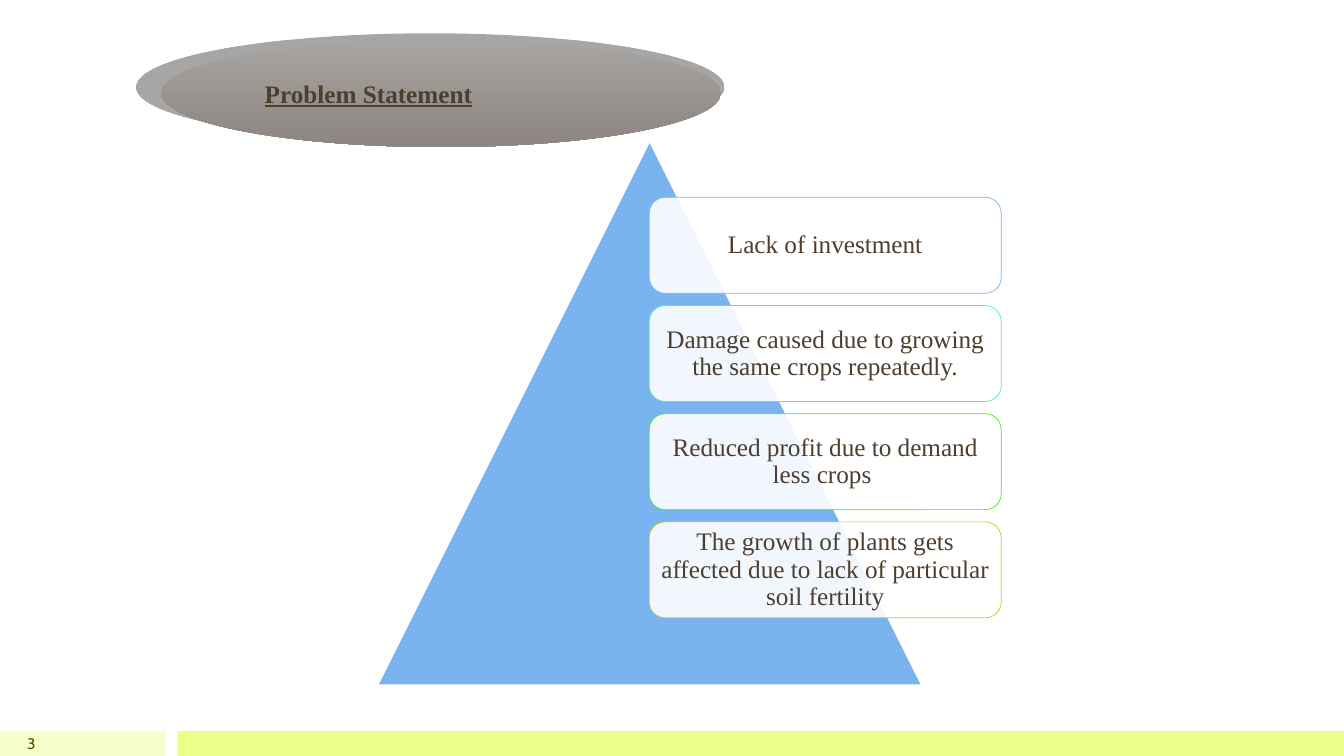
import pptx
import pptx.util
import pptx.dml.color
import pptx.enum.shapes
import pptx.enum.text
import pptx.oxml
import pptx.oxml.ns

RGB = pptx.dml.color.RGBColor
KIND = pptx.enum.shapes.MSO_SHAPE
ALIGN = pptx.enum.text.PP_ALIGN

WHITE = RGB(0xFF, 0xFF, 0xFF)
BROWN = RGB(0x4D, 0x3E, 0x2F)
OLIVE = RGB(0x45, 0x55, 0x00)
PALE = RGB(0xF6, 0xFF, 0xCC)
LIME = RGB(0xE9, 0xFF, 0x88)
LIGHT = RGB(0xA8, 0xA4, 0xA1)
DARK = RGB(0x8C, 0x85, 0x81)
BLUE = RGB(0x79, 0xB4, 0xF0)
MINT = RGB(0x4D, 0xED, 0xB7)
GREEN = RGB(0x45, 0xEC, 0x1F)
GOLD = RGB(0xCD, 0xC8, 0x0F)

CARDS = [
    ("Lack of investment", BLUE),
    ("Damage caused due to growing the same crops repeatedly.", MINT),
    ("Reduced profit due to demand less crops ", GREEN),
    ("The growth of plants gets affected due to lack of particular soil fertility", GOLD),
]


def write(shape, text, size=18, font="Times New Roman", color=BROWN, bold=False,
          under=False, align=ALIGN.CENTER, space=1.0, pad=(0.1, 0.05, 0.1, 0.05)):
    """Put formatted text in a shape; pad is left, top, right, bottom in inches."""
    frame = shape.text_frame
    frame.word_wrap = True
    frame.vertical_anchor = pptx.enum.text.MSO_ANCHOR.MIDDLE
    (frame.margin_left, frame.margin_top,
     frame.margin_right, frame.margin_bottom) = map(pptx.util.Inches, pad)
    para = frame.paragraphs[0]
    para.alignment = align
    para.line_spacing = space
    run = para.add_run()
    run.text = text
    run.font.size = pptx.util.Pt(size)
    run.font.name = font
    run.font.color.rgb = color
    run.font.bold = bold
    run.font.underline = under


class Page:
    """One slide on a grid of 100 columns by 100 rows."""

    def __init__(self, deck):
        self.slide = deck.slides.add_slide(deck.slide_layouts[6])
        self.col = deck.slide_width / 100
        self.row = deck.slide_height / 100

    def place(self, x, y, w, h):
        return [int(v) for v in (x * self.col, y * self.row, w * self.col, h * self.row)]

    def shape(self, kind, box, fill, line=None):
        item = self.slide.shapes.add_shape(kind, *self.place(*box))
        item.shadow.inherit = False
        item.fill.solid()
        item.fill.fore_color.rgb = fill
        if line is None:
            item.line.fill.background()
        else:
            item.line.color.rgb = line
            item.line.width = pptx.util.Pt(0.5)
        return item

    def label(self, box, text, **style):
        write(self.slide.shapes.add_textbox(*self.place(*box)), text, **style)

    def title(self, box, text):
        oval = self.shape(KIND.OVAL, box, LIGHT)
        oval.fill.gradient()
        oval.fill.gradient_angle = 270
        for stop, tone in zip(oval.fill.gradient_stops, (LIGHT, DARK)):
            stop.color.rgb = tone
        # Shadow up and to the left, slightly wider than the oval
        effect = oval._element.spPr.find(pptx.oxml.ns.qn("a:effectLst"))
        effect.append(pptx.oxml.parse_xml(
            f'<a:outerShdw {pptx.oxml.ns.nsdecls("a")} blurRad="0" dist="113000" '
            'dir="12540000" sx="105000" sy="100000" algn="ctr" rotWithShape="0">'
            '<a:srgbClr val="000000"><a:alpha val="34000"/></a:srgbClr></a:outerShdw>'))
        write(oval, text, bold=True, under=True, pad=(0.1, 0.05, 1.54, 0.05))

    def card(self, box, text, line):
        item = self.shape(KIND.ROUNDED_RECTANGLE, box, WHITE, line)
        tone = item._element.spPr.find(
            pptx.oxml.ns.qn("a:solidFill")).find(pptx.oxml.ns.qn("a:srgbClr"))
        tone.append(pptx.oxml.parse_xml(
            f'<a:alpha {pptx.oxml.ns.nsdecls("a")} val="90000"/>'))
        write(item, text, space=0.9, pad=(0.07, 0.07, 0.07, 0.07))


def main():
    deck = pptx.Presentation()
    deck.slide_width = pptx.util.Inches(13.33)
    deck.slide_height = pptx.util.Inches(7.5)
    page = Page(deck)

    # Footer bars and page number
    page.shape(KIND.RECTANGLE, (0, 96.67, 12.3, 3.33), PALE)
    page.shape(KIND.RECTANGLE, (13.2, 96.67, 86.8, 3.33), LIME)
    page.label((0, 96.67, 3.38, 3.33), "3", size=11, font="Cabin",
               color=OLIVE, align=ALIGN.RIGHT)

    # Heading
    page.title((12, 5.2, 41.65, 14.25), "Problem Statement")

    # Pyramid with its list of cards
    page.shape(KIND.ISOSCELES_TRIANGLE, (28.2, 18.93, 40.28, 71.6), BLUE)
    for i, (text, line) in enumerate(CARDS):
        page.card((48.3, 26.1 + 14.31 * i, 26.2, 12.7), text, line)

    deck.save("out.pptx")


if __name__ == "__main__":
    main()
